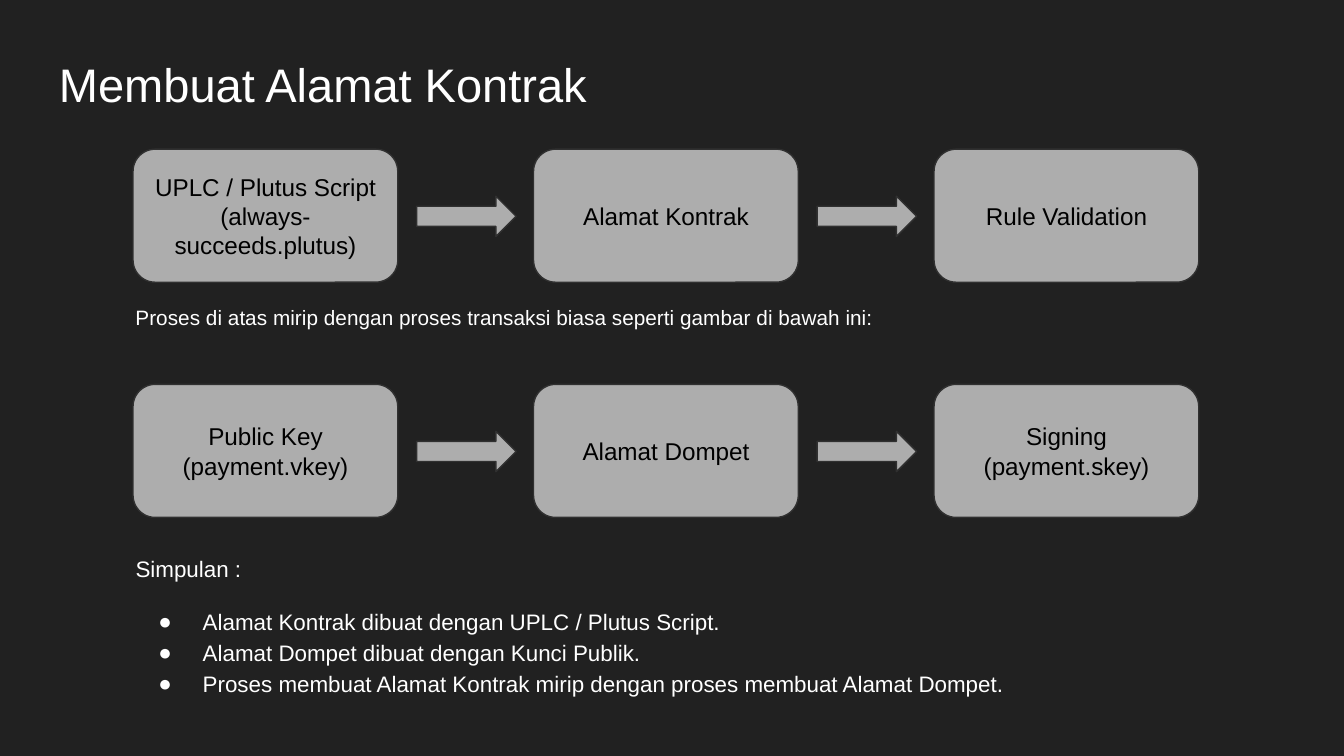
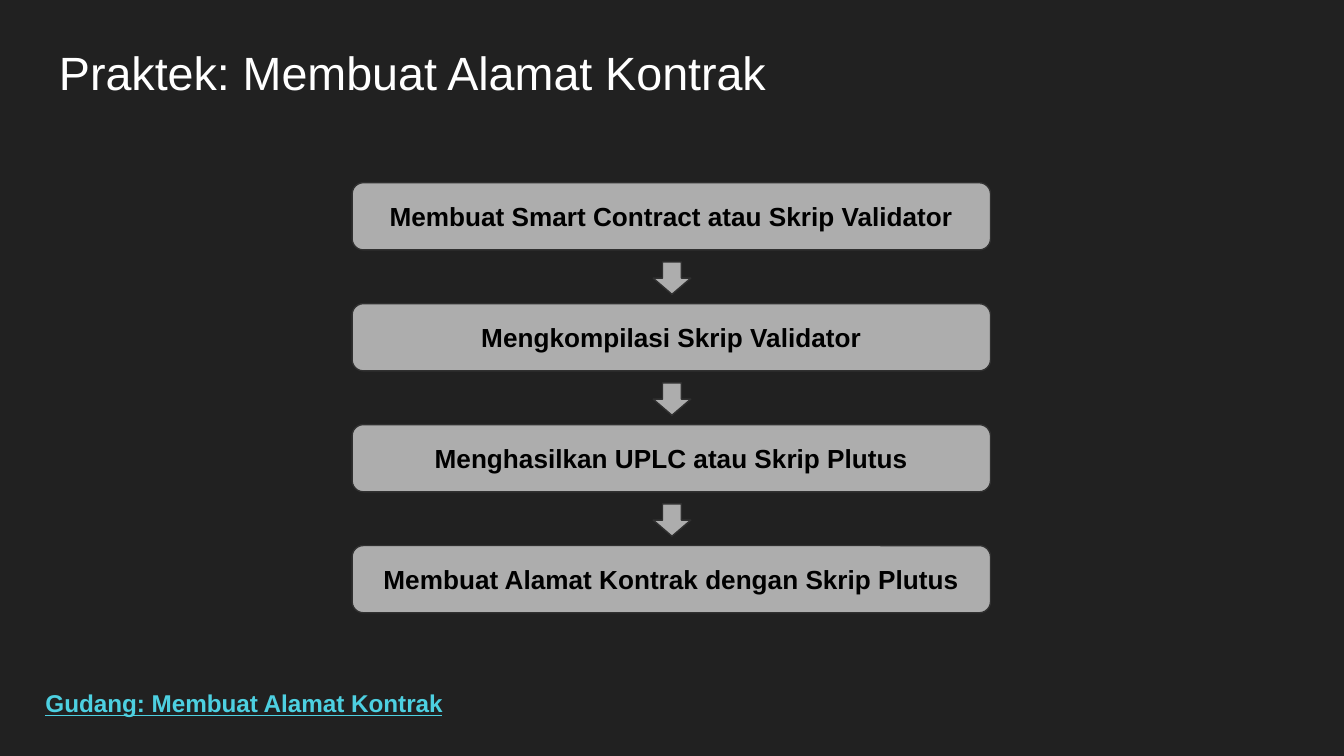
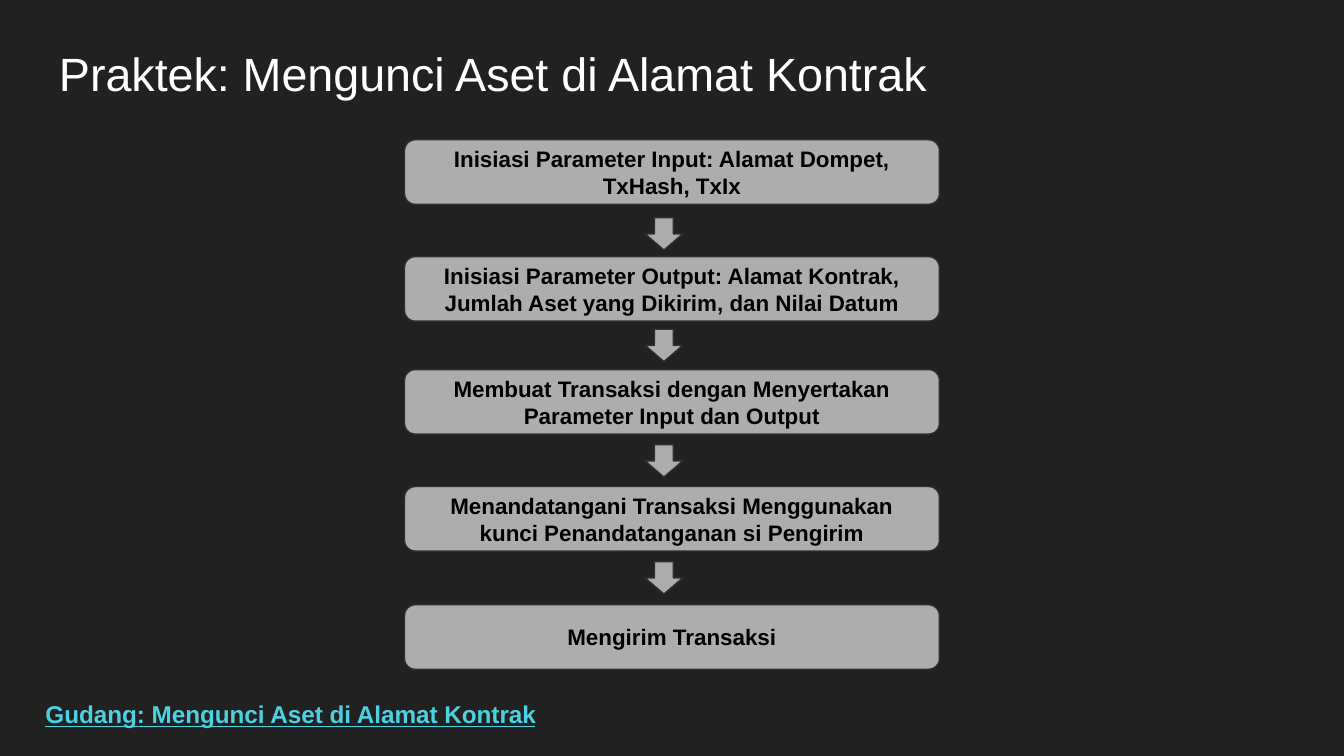
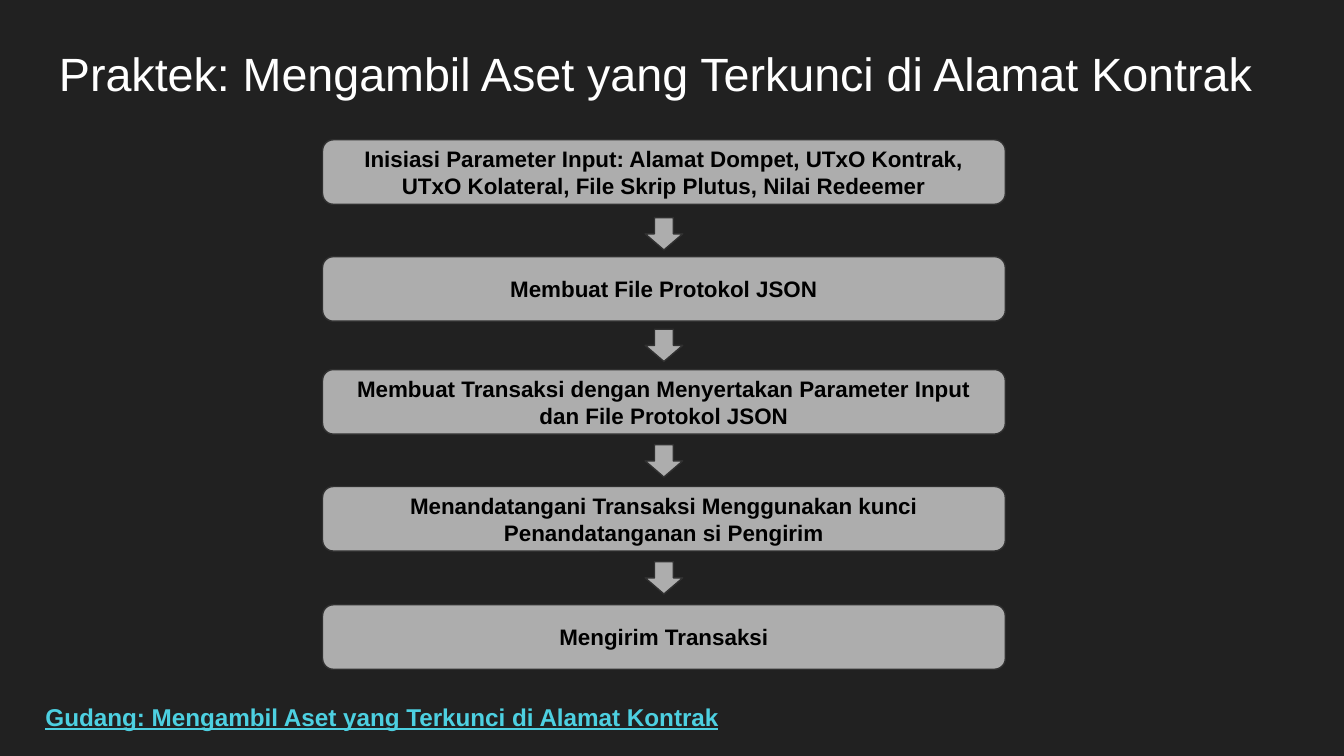
from lxml import etree
from pptx import Presentation
from pptx import util as u
from pptx.dml.color import RGBColor
from pptx.enum import shapes, text
from pptx.oxml.ns import qn

COLORS = {
    "background": "212121",
    "box": "ADADAD",
    "outline": "303030",
    "light": "FFFFFF",
    "dark": "000000",
    "link": "4DD0E1",
}
FONT = "Arial"
INSET = 0.1

FLOW_LEFT, FLOW_PITCH = 0.99, 2.98
FLOW_BOX = (1.97, 0.99)
FLOW_ARROW = (0.74, 0.3)
STEP_ARROW = (0.28, 0.24)

FIVE_STEP_TOPS = (1.04, 1.91, 2.75, 3.62, 4.5)
FIVE_ARROW_TOPS = (1.62, 2.45, 3.31, 4.18)


def color(name):
    return RGBColor.from_string(COLORS[name])


def add_page(deck):
    page = deck.slides.add_slide(deck.slide_layouts[6])
    page.background.fill.solid()
    page.background.fill.fore_color.rgb = color("background")
    return page


def write(frame, content, size=12, tint="light", bold=False, underline=False,
          align=text.PP_ALIGN.LEFT, anchor=text.MSO_ANCHOR.TOP,
          line_spacing=1.0, space_after=0):
    """Fill a text frame, one paragraph per line of content."""
    frame.word_wrap = True
    frame.vertical_anchor = anchor
    frame.margin_left = frame.margin_right = u.Inches(INSET)
    frame.margin_top = frame.margin_bottom = u.Inches(INSET)
    for index, line in enumerate(content.split("\n")):
        para = frame.paragraphs[0] if index == 0 else frame.add_paragraph()
        para.alignment = align
        para.line_spacing = line_spacing
        para.space_after = u.Pt(space_after)
        span = para.add_run()
        span.text = line
        span.font.name = FONT
        span.font.size = u.Pt(size)
        span.font.bold = bold
        span.font.underline = underline
        span.font.color.rgb = color(tint)


def add_text(page, left, top, width, height, content, **style):
    box = page.shapes.add_textbox(*map(u.Inches, (left, top, width, height)))
    write(box.text_frame, content, **style)
    return box


def add_title(page, content, top=0.23, height=0.61, size=25):
    add_text(page, 0.34, top, 9.32, height, content, size=size)


def add_link_label(page, top, width, content):
    add_text(page, 0.24, top, width, 0.5, content, size=13, tint="link",
             bold=True, underline=True, line_spacing=1.15, space_after=12)


def add_solid(page, kind, left, top, width, height):
    """Add a flat grey preset shape with a thin outline."""
    solid = page.shapes.add_shape(
        kind, *map(u.Inches, (left, top, width, height)))
    solid.shadow.inherit = False
    solid.fill.solid()
    solid.fill.fore_color.rgb = color("box")
    solid.line.color.rgb = color("outline")
    solid.line.width = u.Pt(0.75)
    return solid


def add_box(page, left, top, width, height, content, size, bold=False):
    box = add_solid(page, shapes.MSO_SHAPE.ROUNDED_RECTANGLE,
                    left, top, width, height)
    write(box.text_frame, content, size=size, tint="dark", bold=bold,
          align=text.PP_ALIGN.CENTER, anchor=text.MSO_ANCHOR.MIDDLE)


def add_flow_row(page, top, labels):
    """Place boxes side by side with an arrow in each gap."""
    for index, label in enumerate(labels):
        left = FLOW_LEFT + index * FLOW_PITCH
        add_box(page, left, top, *FLOW_BOX, label, size=13)
        if index:
            add_solid(page, shapes.MSO_SHAPE.RIGHT_ARROW,
                      left - 0.87, top + 0.35, *FLOW_ARROW)


def add_steps(page, left, width, height, labels, tops, arrow_left,
              arrow_tops, size):
    """Stack boxes in a column with arrows pointing down between them."""
    for label, top in zip(labels, tops):
        add_box(page, left, top, width, height, label, size, bold=True)
    for top in arrow_tops:
        add_solid(page, shapes.MSO_SHAPE.DOWN_ARROW,
                  arrow_left, top, *STEP_ARROW)


def make_bullet(para):
    properties = para._p.get_or_add_pPr()
    properties.set("marL", str(u.Inches(0.5)))
    properties.set("indent", str(u.Inches(-0.33)))
    tint = etree.SubElement(properties, qn("a:buClr"))
    etree.SubElement(tint, qn("a:srgbClr"), val=COLORS["light"])
    etree.SubElement(properties, qn("a:buFont"), typeface=FONT)
    etree.SubElement(properties, qn("a:buChar"), char="●")


def add_conclusion(page, content):
    """Write a heading line followed by bulleted lines."""
    box = add_text(page, 0.91, 4, 8.38, 1.29, content, line_spacing=1.15)
    bullets = box.text_frame.paragraphs[1:]
    bullets[0].space_before = u.Pt(12)
    for para in bullets:
        make_bullet(para)


def build_address_overview(deck):
    page = add_page(deck)
    add_title(page, "Membuat Alamat Kontrak", top=0.31, size=25.2)
    add_text(page, 0.91, 2.22, 7.93, 0.53,
             "Proses di atas mirip dengan proses transaksi biasa "
             "seperti gambar di bawah ini:",
             size=11.1, line_spacing=0.85, space_after=12)
    add_flow_row(page, 1.11, (
        "UPLC / Plutus Script\n(always-succeeds.plutus)",
        "Alamat Kontrak",
        "Rule Validation"))
    add_flow_row(page, 2.86, (
        "Public Key\n(payment.vkey)",
        "Alamat Dompet",
        "Signing\n(payment.skey)"))
    add_conclusion(page, "\n".join((
        "Simpulan :",
        "Alamat Kontrak dibuat dengan UPLC / Plutus Script.",
        "Alamat Dompet dibuat dengan Kunci Publik.",
        "Proses membuat Alamat Kontrak mirip dengan proses membuat "
        "Alamat Dompet.")))


def build_address_practice(deck):
    page = add_page(deck)
    add_title(page, "Praktek: Membuat Alamat Kontrak", height=0.84)
    add_link_label(page, 4.99, 3.46, "Gudang: Membuat Alamat Kontrak")
    labels = (
        "Membuat Smart Contract atau Skrip Validator",
        "Mengkompilasi Skrip Validator",
        "Menghasilkan UPLC atau Skrip Plutus",
        "Membuat Alamat Kontrak dengan Skrip Plutus")
    pitch = 0.9
    add_steps(page, 2.62, 4.75, 0.5, labels,
              tops=[1.36 + index * pitch for index in range(4)],
              arrow_left=4.86,
              arrow_tops=[1.95 + index * pitch for index in range(3)],
              size=14)


def build_asset_practice(deck, subject, link_top, link_width,
                         left, width, labels):
    page = add_page(deck)
    add_title(page, f"Praktek: {subject}")
    add_link_label(page, link_top, link_width, f"Gudang: {subject}")
    closing = (
        "Menandatangani Transaksi Menggunakan kunci "
        "Penandatanganan si Pengirim",
        "Mengirim Transaksi")
    add_steps(page, left, width, 0.48, labels + closing,
              tops=FIVE_STEP_TOPS, arrow_left=4.8,
              arrow_tops=FIVE_ARROW_TOPS, size=12)


def main():
    deck = Presentation()
    deck.slide_width = u.Inches(10)
    deck.slide_height = u.Inches(5.625)
    build_address_overview(deck)
    build_address_practice(deck)
    build_asset_practice(
        deck, "Mengunci Aset di Alamat Kontrak", 5.07, 4.07, 3.01, 3.98, (
            "Inisiasi Parameter Input: Alamat Dompet, TxHash, TxIx",
            "Inisiasi Parameter Output: Alamat Kontrak, "
            "Jumlah Aset yang Dikirim, dan Nilai Datum",
            "Membuat Transaksi dengan Menyertakan "
            "Parameter Input dan Output"))
    build_asset_practice(
        deck, "Mengambil Aset yang Terkunci di Alamat Kontrak",
        5.09, 6.04, 2.4, 5.08, (
            "Inisiasi Parameter Input: Alamat Dompet, UTxO Kontrak, "
            "UTxO Kolateral, File Skrip Plutus, Nilai Redeemer",
            "Membuat File Protokol JSON",
            "Membuat Transaksi dengan Menyertakan Parameter Input "
            "dan File Protokol JSON"))
    deck.save("out.pptx")


if __name__ == "__main__":
    main()
